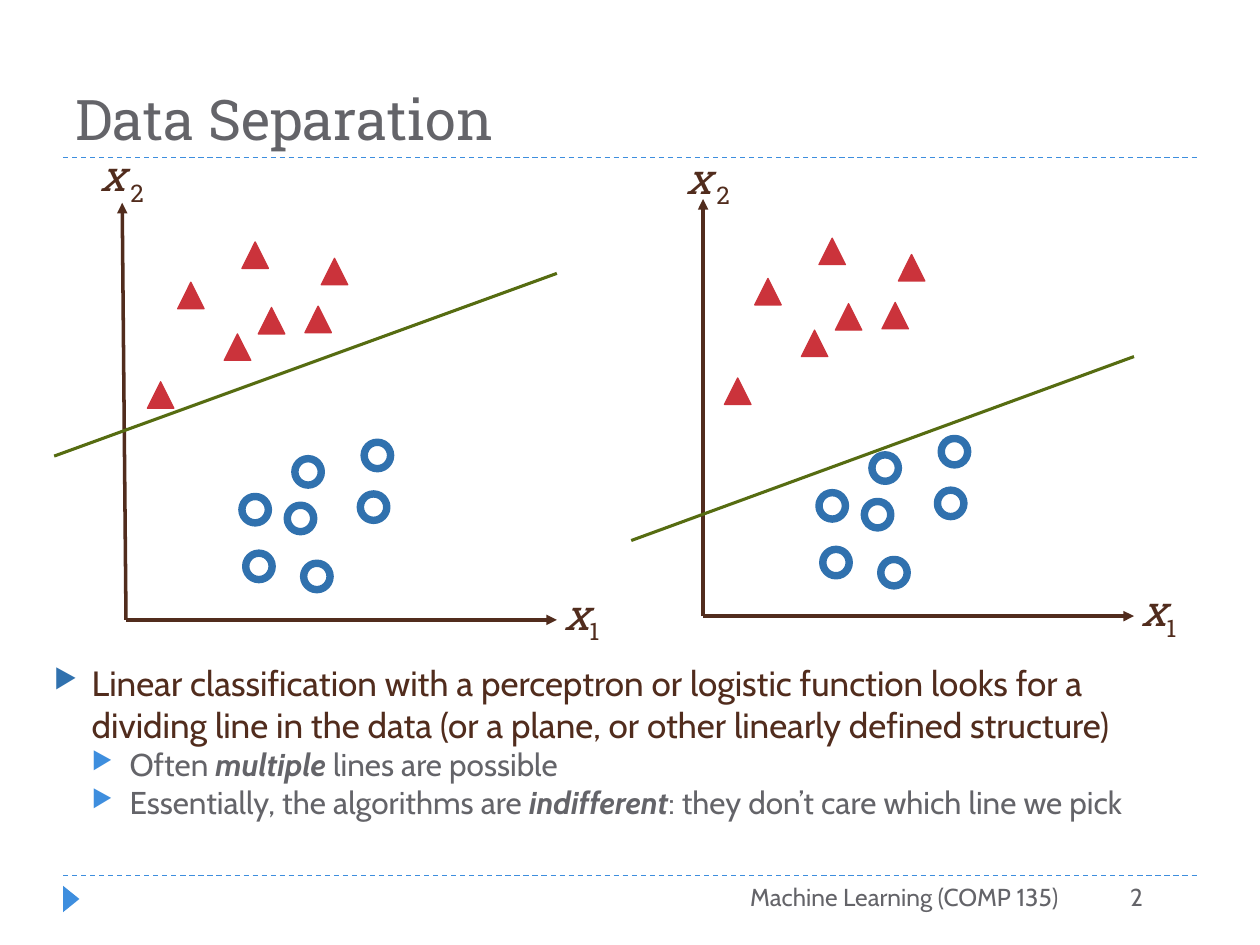
from dataclasses import dataclass

from lxml.etree import SubElement
from pptx import Presentation
from pptx.dml.color import RGBColor
from pptx.enum.dml import MSO_LINE
from pptx.enum.shapes import MSO_CONNECTOR, MSO_SHAPE
from pptx.enum.text import MSO_ANCHOR, PP_ALIGN
from pptx.oxml.ns import qn
from pptx.util import Inches, Pt


@dataclass(frozen=True)
class Theme:
    heading_font: str = "Roboto Slab"
    body_font: str = "Cabin"
    gray: RGBColor = RGBColor.from_string("646469")
    brown: RGBColor = RGBColor.from_string("512C1D")
    light_blue: RGBColor = RGBColor.from_string("3E8EDE")
    blue: RGBColor = RGBColor.from_string("3071AE")
    red: RGBColor = RGBColor.from_string("CB333B")
    green: RGBColor = RGBColor.from_string("566C11")
    title_size: Pt = Pt(32)
    label_size: Pt = Pt(24)
    body_size: Pt = Pt(20)
    detail_size: Pt = Pt(18)
    footer_size: Pt = Pt(14)


theme = Theme()
deck = Presentation()
deck.slide_width, deck.slide_height = Inches(10), Inches(7.5)
page = deck.slides.add_slide(deck.slide_layouts[6])


def add_line(start, end, color, width):
    points = [Inches(value) for value in (*start, *end)]
    line = page.shapes.add_connector(MSO_CONNECTOR.STRAIGHT, *points)
    line.line.color.rgb = color
    line.line.width = Pt(width)
    SubElement(line._element.spPr, qn("a:effectLst"))
    return line


def add_text(left, top, width, height, paragraphs, font, size, color, align=PP_ALIGN.LEFT):
    box = page.shapes.add_textbox(Inches(left), Inches(top), Inches(width), Inches(height))
    frame = box.text_frame
    frame.word_wrap = True
    for index, spans in enumerate(paragraphs):
        para = frame.paragraphs[0] if index == 0 else frame.add_paragraph()
        para.alignment = align
        para.font.name, para.font.size, para.font.color.rgb = font, size, color
        for text in spans:
            para.add_run().text = text
    return frame


for rule_top in (6.95, 1.25):
    rule = add_line((0.5, rule_top), (9.5, rule_top), theme.light_blue, 0.75)
    rule.line.dash_style = MSO_LINE.DASH

marker = page.shapes.add_shape(
    MSO_SHAPE.ISOSCELES_TRIANGLE, Inches(0.46), Inches(7.07), Inches(0.21), Inches(0.13))
marker.rotation = 90
marker.shadow.inherit = False
marker.fill.solid()
marker.fill.fore_color.rgb = theme.light_blue
marker.line.fill.background()

title = add_text(0.5, 0.17, 9, 1.08, [["Data Separation"]],
                 theme.heading_font, theme.title_size, theme.gray)
title.vertical_anchor = MSO_ANCHOR.BOTTOM

body = add_text(0.33, 5.2, 9.17, 1.84, [
    ["Linear classification with a perceptron or logistic function looks for a dividing line "
     "in the data (or a plane, or other linearly defined structure)"],
    ["Often ", "multiple", " lines are possible"],
    ["Essentially, the algorithms are ", "indifferent", ": they don’t care which line we pick"],
], theme.body_font, theme.body_size, theme.brown)

for para, level in zip(body.paragraphs, (0, 1, 1)):
    para.level = level
    if level:
        para.font.size, para.font.color.rgb = theme.detail_size, theme.gray
        para.runs[1].font.bold = para.runs[1].font.italic = True
    properties = para._p.get_or_add_pPr()
    properties.set("marL", str(Inches(0.3 * (level + 1))))
    properties.set("indent", str(-Inches(0.3)))
    bullet_color = theme.light_blue if level else theme.blue
    bullet_parts = [SubElement(properties, qn("a:buClr")),
                    SubElement(properties, qn("a:buSzPct"), val="76000"),
                    SubElement(properties, qn("a:buChar"), char="▶")]
    SubElement(bullet_parts[0], qn("a:srgbClr"), val=str(bullet_color))
    defaults = properties.find(qn("a:defRPr"))
    properties.remove(defaults)
    properties.append(defaults)

for left, width, text in ((3.83, 4.67, "Machine Learning (COMP 135)"), (8.08, 1.09, "2")):
    add_text(left, 6.95, width, 0.4, [[text]],
             theme.body_font, theme.footer_size, theme.gray, PP_ALIGN.RIGHT)

circles = [(2.89, 3.51), (1.92, 3.94), (1.95, 4.39), (2.28, 4.01),
           (2.41, 4.47), (2.34, 3.64), (2.86, 3.92)]
triangles = [(1.17, 3.03), (1.41, 2.24), (1.92, 1.92), (2.05, 2.44),
             (1.78, 2.65), (2.55, 2.05), (2.42, 2.43)]
plots = [
    (0, 0, (0.97, 1.61), (0.68, 1.14), (0.43, 3.62), (4.42, 2.17)),
    (4.58, -0.03, (5.58, 1.58), (5.33, 1.16), (5.01, 4.29), (9, 2.83)),
]

for shift_x, shift_y, axis_top, label_top, divider_start, divider_end in plots:
    corner = (1 + shift_x, 4.92 + shift_y)
    for tip in (axis_top, (4.42 + shift_x, corner[1])):
        axis = add_line(corner, tip, theme.brown, 2)
        SubElement(axis.line._get_or_add_ln(), qn("a:tailEnd"), type="triangle")

    for place, digit in (((4.33 + shift_x, 4.62 + shift_y), "1"), (label_top, "2")):
        label = add_text(*place, 0.58, 0.5, [["x", digit]],
                         theme.heading_font, theme.label_size, theme.brown, PP_ALIGN.CENTER)
        variable, subscript = label.paragraphs[0].runs
        variable.font.italic = True
        if digit == "2":
            variable.font._element.set("spc", "300")
        subscript.font._element.set("baseline", "-25000")

    add_line(divider_start, divider_end, theme.green, 1.75)

    for kind, places, color, outline in (
        (MSO_SHAPE.OVAL, circles, theme.blue, 4.25),
        (MSO_SHAPE.ISOSCELES_TRIANGLE, triangles, theme.red, 0.75),
    ):
        for left, top in places:
            point = page.shapes.add_shape(
                kind, Inches(left + shift_x), Inches(top + shift_y), Inches(0.21), Inches(0.21))
            point.shadow.inherit = False
            point.line.color.rgb = color
            point.line.width = Pt(outline)
            if kind == MSO_SHAPE.OVAL:
                point.fill.background()
            else:
                point.fill.solid()
                point.fill.fore_color.rgb = color

deck.save("out.pptx")
